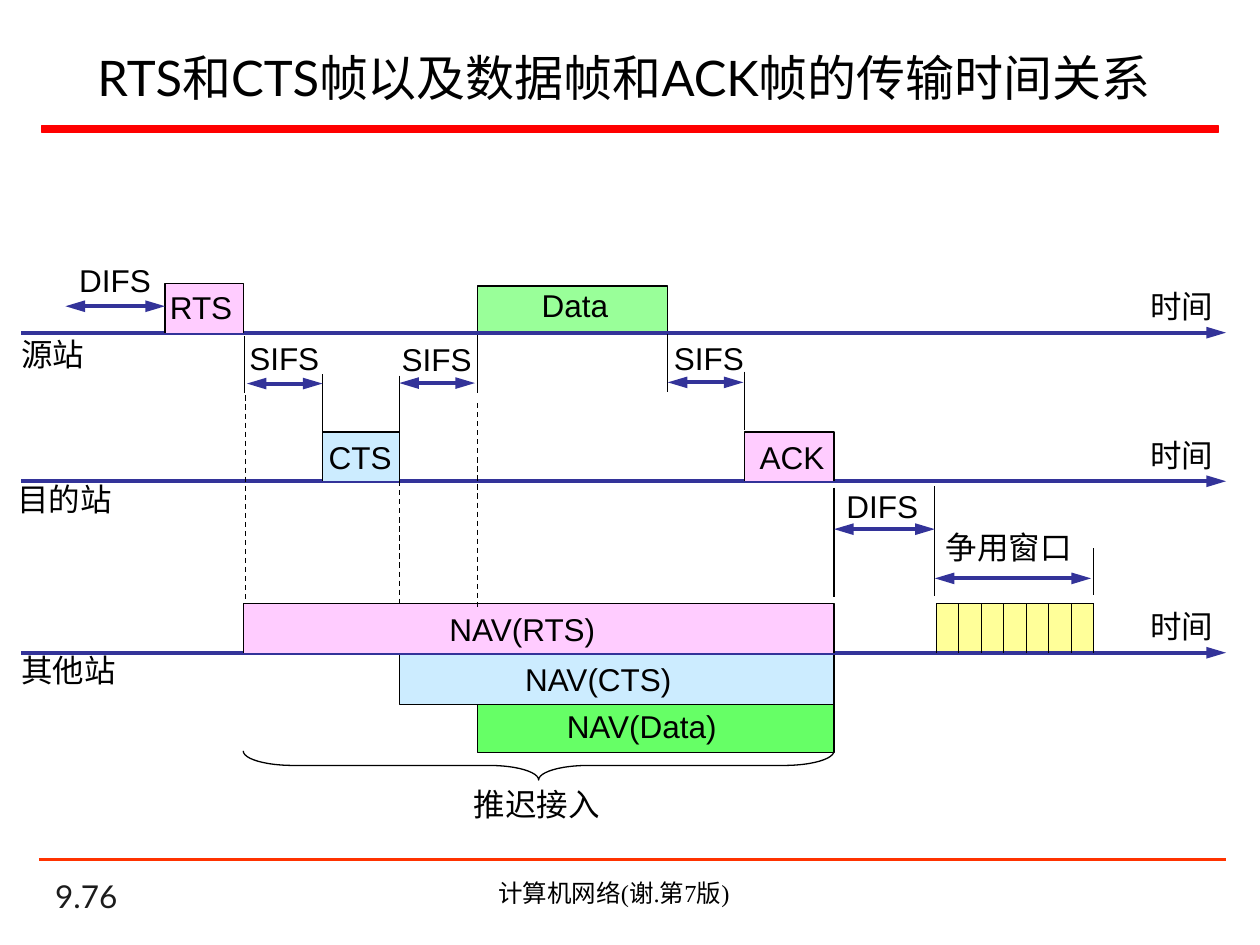
import pptx
import pptx.dml.color
import pptx.enum.dml
import pptx.enum.shapes
import pptx.enum.text
import pptx.oxml.ns
import pptx.util
from lxml import etree

Pt = pptx.util.Pt
RGB = pptx.dml.color.RGBColor.from_string
qn = pptx.oxml.ns.qn
SHAPE = pptx.enum.shapes.MSO_SHAPE
ALIGN = pptx.enum.text.PP_ALIGN
ANCHOR = pptx.enum.text.MSO_ANCHOR
COLOR = {
    "black": "000000", "number": "1C1C1C", "red": "FF0000", "footer": "FF3300",
    "navy": "333399", "pink": "FFCCFF", "blue": "CCECFF", "yellow": "FFFF99",
    "light green": "99FF99", "green": "66FF66",
}

deck = pptx.Presentation()
deck.slide_width, deck.slide_height = Pt(720), Pt(540)
page = deck.slides.add_slide(deck.slide_layouts[6])


def add_line(x1, y1, x2, y2, color="black", width=0.75, heads=(), dashed=False):
    """Draw a straight line; heads lists its arrow ends, headEnd before tailEnd."""
    line = page.shapes.add_connector(
        pptx.enum.shapes.MSO_CONNECTOR.STRAIGHT, Pt(x1), Pt(y1), Pt(x2), Pt(y2))
    line.line.color.rgb = RGB(COLOR[color])
    line.line.width = Pt(width)
    if dashed:
        line.line.dash_style = pptx.enum.dml.MSO_LINE.DASH
    properties = line._element.spPr
    for head in heads:
        etree.SubElement(properties.find(qn("a:ln")), qn("a:" + head),
                         type="triangle", w="med", len="lg")
    etree.SubElement(properties, qn("a:effectLst"))


def add_text(text, left, top, width, height=28.8, size=18, font="Arial", color="black",
             align=ALIGN.LEFT, anchor=ANCHOR.TOP, wrap=False):
    box = page.shapes.add_textbox(Pt(left), Pt(top), Pt(width), Pt(height))
    box.text_frame.word_wrap = wrap
    box.text_frame.vertical_anchor = anchor
    para = box.text_frame.paragraphs[0]
    para.alignment = align
    span = para.add_run()
    span.text = text
    span.font.size = Pt(size)
    span.font.name = font
    span.font.color.rgb = RGB(COLOR[color])


# Title, footer and their rules
add_text("RTS和CTS帧以及数据帧和ACK帧的传输时间关系", 16.5, 15, 680, 58.5, 28, "Lato",
         align=ALIGN.CENTER, anchor=ANCHOR.MIDDLE, wrap=True)
title_rule = page.shapes.add_shape(SHAPE.RECTANGLE, Pt(23.8), Pt(72), Pt(672.5), Pt(3.6))
title_rule.shadow.inherit = False
title_rule.fill.solid()
title_rule.fill.fore_color.rgb = RGB(COLOR["red"])
title_rule.line.color.rgb = RGB(COLOR["red"])
title_rule.line.width = Pt(1)
add_line(22.3, 491, 700.6, 491, "footer", 1.5)
add_text("9.76", 24.5, 502.6, 150, 23.8, 18, "Lato", "number",
         anchor=ANCHOR.BOTTOM, wrap=True)
add_text("计算机网络(谢.第7版)", 203.8, 498.2, 293.8, 24.5, 14, "Times New Roman",
         align=ALIGN.CENTER, wrap=True)

# Moments shared by the three stations, and the height of each time axis
rts_start, rts_end = 94.3, 139
cts_start, cts_end = 184.3, 228.2
data_start, data_end = 272.9, 381.6
ack_start, ack_end = 425.5, 476.6
window_start, window_end = 535, 625
source, target, other = 190.1, 275, 373
frame_height = 28.1

# Contention window
window = page.shapes.add_shape(
    SHAPE.RECTANGLE, Pt(window_start), Pt(other - frame_height),
    Pt(window_end - window_start), Pt(frame_height))
window.shadow.inherit = False
window.fill.solid()
window.fill.fore_color.rgb = RGB(COLOR["yellow"])
window.line.fill.background()

# Frames open on the side that meets the axis: start, end, open y, closed y, fill
frames = [
    (data_start, ack_end, 402.5, 430, "green"),
    (data_start, data_end, 191.5, 163.4, "light green"),
    (rts_start, rts_end, source, source - frame_height, "pink"),
    (cts_start, cts_end, target, target - frame_height, "blue"),
    (ack_start, ack_end, target, target - frame_height, "pink"),
    (rts_end, ack_end, other, other - frame_height, "pink"),
    (cts_end, ack_end, 374.4, 402.5, "blue"),
]
for order, (start, end, open_y, closed_y, fill) in enumerate(frames):
    if order == 2:  # the axes lie above the green frames and below the rest
        for axis in (source, target, other):
            add_line(12.2, axis, 700.6, axis, "navy", 2.25, ["tailEnd"])
            add_text("时间", 650.2, axis - 29.6, 50.4)
    outline = page.shapes.build_freeform(Pt(start), Pt(open_y))
    outline.add_line_segments(
        [(Pt(start), Pt(closed_y)), (Pt(end), Pt(closed_y)), (Pt(end), Pt(open_y))],
        close=False)
    frame = outline.convert_to_shape()
    frame.shadow.inherit = False
    frame.fill.solid()
    frame.fill.fore_color.rgb = RGB(COLOR[fill])
    frame.line.color.rgb = RGB(COLOR["black"])
    frame.line.width = Pt(0.75)

# Slots of the contention window
slot_count = 7
slot_width = (window_end - window_start) / slot_count
for slot in range(slot_count + 1):
    x = window_start + slot * slot_width
    add_line(x, other - frame_height, x, other)
add_line(window_start, other - frame_height, window_end, other - frame_height)

# Solid and dashed time marks: x, top, bottom
for x, top, bottom in [
    (139.7, 192.2, 224.6), (cts_start, 213.8, 247), (cts_end, 214.6, 247),
    (data_start, 191.5, 224.6), (data_end, 190.8, 223.9), (ack_start, 212.4, 245.5),
    (ack_end, 278.6, 341.3), (534.2, 277.9, 340.6), (window_end, 313.2, 339.8),
]:
    add_line(x, top, x, bottom)
for x, top, bottom in [(140.4, 226, 342.7), (cts_end, target, 347), (data_start, 230.4, 347)]:
    add_line(x, top, x, bottom, dashed=True)

# Intervals: start, end, y
for start, end, y in [
    (37.4, rts_start, 175), (141.1, cts_start, 219.2), (cts_end, 271.4, 218.9),
    (data_end, 424.8, 218.5), (ack_end, 534.2, 302.4), (534.2, 623.5, 330.5),
]:
    add_line(start, y, end, y, "navy", 2.25, ["headEnd", "tailEnd"])

# Brace under the deferred access period, turned to point down
brace_depth, brace_length = 16.6, ack_end - rts_end
brace = page.shapes.add_shape(
    SHAPE.LEFT_BRACE, Pt((rts_end + ack_end - brace_depth) / 2),
    Pt(437.4 - brace_length / 2), Pt(brace_depth), Pt(brace_length))
brace.rotation = 270
brace.adjustments[0], brace.adjustments[1] = 1.71, 0.5
brace.shadow.inherit = False
brace.fill.background()
brace.line.color.rgb = RGB(COLOR["black"])
brace.line.width = Pt(0.75)

# Labels: text, left, top, width
for text, left, top, width in [
    ("DIFS", 38.2, 145.4, 55.4), ("RTS", 90, 161.3, 50.4), ("Data", 302.4, 159.8, 52.6),
    ("SIFS", 135.4, 190.1, 54.7), ("SIFS", 222.5, 190.8, 54.7), ("SIFS", 378, 190.1, 54.7),
    ("CTS", 180.7, 247, 50.4), ("ACK", 427, 247, 51.8), ("DIFS", 476.6, 275, 55.4),
    ("争用窗口", 533.5, 298.1, 86.4), ("NAV(RTS)", 249.8, 344.9, 98.6),
    ("NAV(CTS)", 293, 373.7, 99.4), ("NAV(Data)", 316.8, 400.3, 100.8),
    ("推迟接入", 263.5, 445, 87.1), ("源站", 5, 187.9, 50.4),
    ("目的站", 2.9, 270.7, 68.4), ("其他站", 5, 368.6, 68.4),
]:
    add_text(text, left, top, width)

deck.save("out.pptx")
